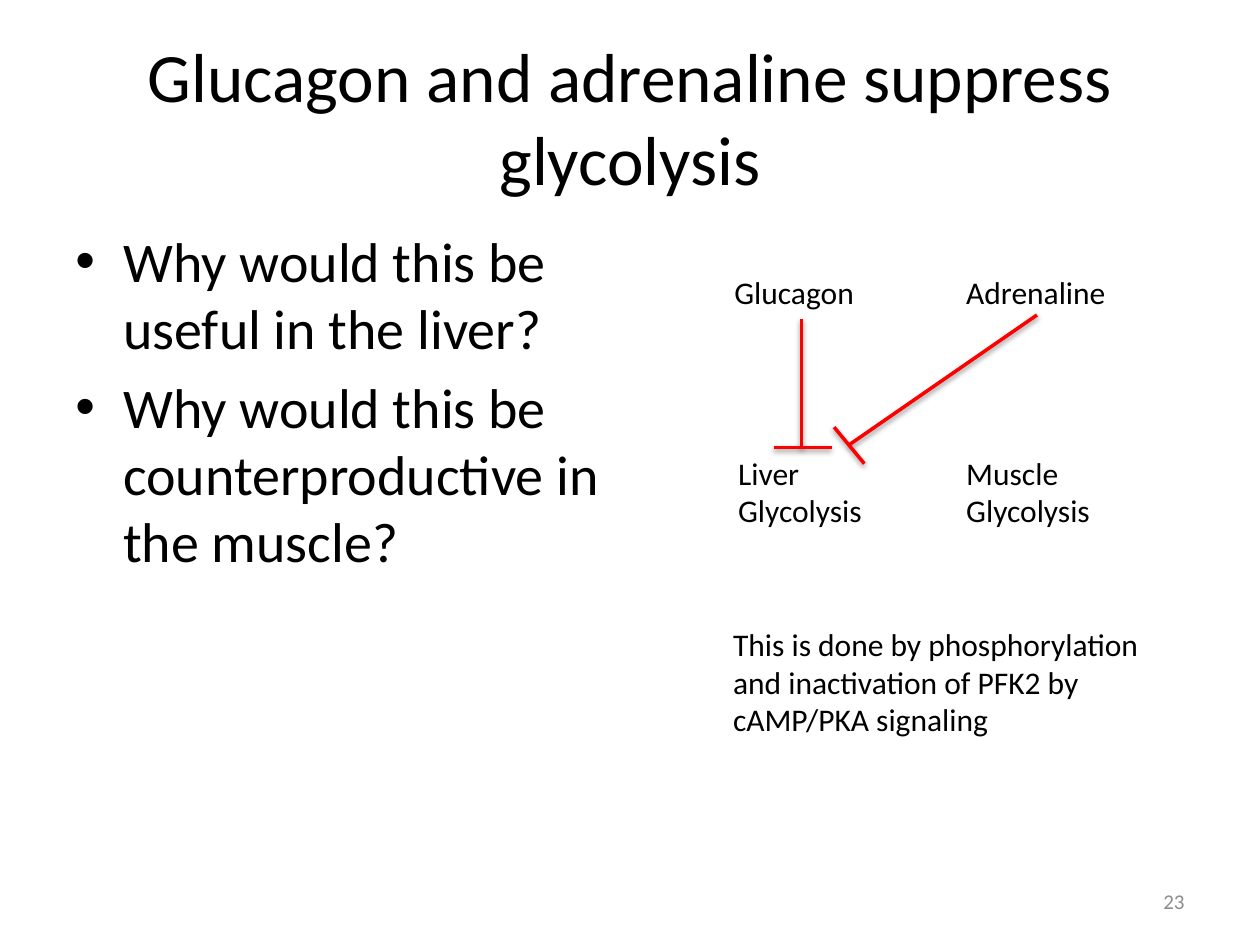
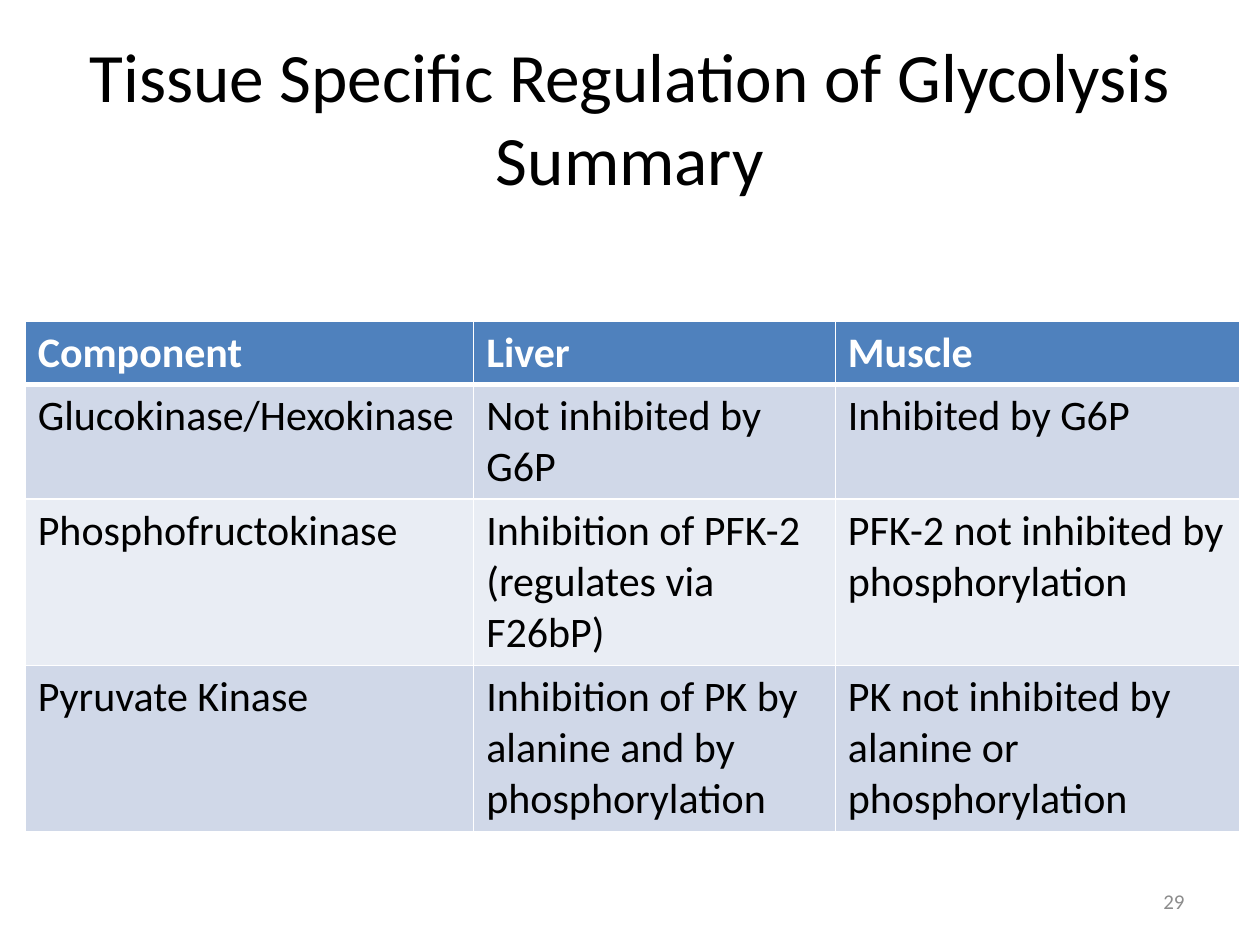
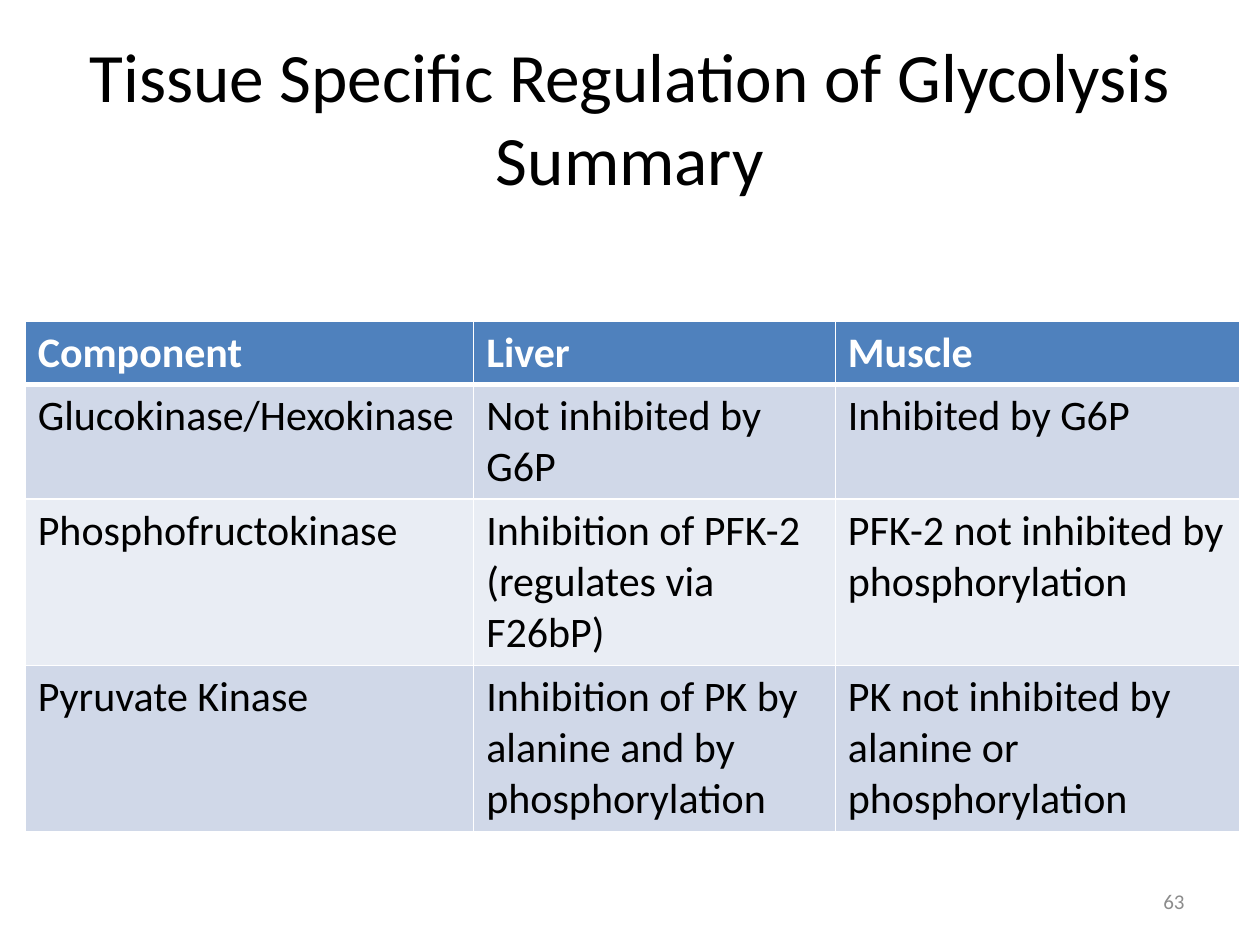
from lxml import etree
from pptx import Presentation
from pptx import util as u
from pptx.dml.color import RGBColor
from pptx.enum import shapes, text
from pptx.oxml import parse_xml
from pptx.oxml.ns import nsdecls, qn

FONT = "Calibri"
BLACK, WHITE, GREY, RED = "000000", "FFFFFF", "8C8C8C", "FF0000"
HEAD, BANDS = "4F81BD", ("D0D8E8", "E9EDF4")
LEFT, MID, RIGHT = text.PP_ALIGN.LEFT, text.PP_ALIGN.CENTER, text.PP_ALIGN.RIGHT

ASKS = [
    "Why would this be useful in the liver?",
    "Why would this be counterproductive in the muscle?",
]
LABELS = [
    (["Adrenaline"], (7.57, 2.12, 1.32, 0.4)),
    (["Glucagon"], (5.73, 2.12, 1.16, 0.4)),
    (["Muscle", "Glycolysis"], (7.57, 3.55, 1.19, 1.01)),
    (["Liver", "Glycolysis"], (5.76, 3.55, 1.19, 1.01)),
]
BLOCKS = [
    (6.36, 2.53, 6.36, 3.55),
    (8.23, 2.5, 6.74, 3.53),
    (6.62, 3.39, 6.86, 3.68),
    (6.14, 3.55, 6.6, 3.55),
]
NOTE = "This is done by phosphorylation and inactivation of PFK2 by cAMP/PKA signaling"

SUMMARY = "Tissue Specific Regulation of Glycolysis Summary"
ROWS = [
    ("Component", "Liver", "Muscle"),
    ("Glucokinase/Hexokinase", "Not inhibited by G6P", "Inhibited by G6P"),
    ("Phosphofructokinase", "Inhibition of PFK-2 (regulates via F26bP)",
     "PFK-2 not inhibited by phosphorylation"),
    ("Pyruvate Kinase", "Inhibition of PK by alanine and by phosphorylation",
     "PK not inhibited by alanine or phosphorylation"),
]
WIDTHS = (3.56, 2.87, 3.21)
LINES = (1, 2, 3, 3)


def inches(nums):
    return [u.Inches(n) for n in nums]


def color(code):
    return RGBColor.from_string(code)


def add_run(para, words, size, code=BLACK, bold=False):
    run = para.add_run()
    run.text = words
    font = run.font
    font.name, font.size, font.bold = FONT, u.Pt(size), bold
    font.color.rgb = color(code)


def add_text(slide, lines, box, size, code=BLACK, align=LEFT,
             anchor=text.MSO_ANCHOR.TOP, wrap=True, grow=False, bullet=False):
    frame = slide.shapes.add_textbox(*inches(box)).text_frame
    frame.word_wrap = wrap
    frame.vertical_anchor = anchor
    if grow:
        frame.auto_size = text.MSO_AUTO_SIZE.SHAPE_TO_FIT_TEXT
    for i, words in enumerate(lines):
        para = frame.paragraphs[0] if i == 0 else frame.add_paragraph()
        para.alignment = align
        if bullet:
            if i:
                para.space_before = u.Pt(size * 0.2)
            props = para._p.get_or_add_pPr()
            props.set("marL", str(u.Inches(0.38)))
            props.set("indent", str(-u.Inches(0.38)))
            etree.SubElement(props, qn("a:buFont")).set("typeface", "Arial")
            etree.SubElement(props, qn("a:buChar")).set("char", "•")
        add_run(para, words, size, code)


def add_block(slide, ends):
    line = slide.shapes.add_connector(shapes.MSO_CONNECTOR.STRAIGHT, *inches(ends))
    line.line.color.rgb = color(RED)
    line.line.width = u.Pt(2)
    line._element.spPr.append(parse_xml(
        f'<a:effectLst {nsdecls("a")}><a:outerShdw blurRad="{u.Pt(3.1)}" '
        f'dist="{u.Pt(1.6)}" dir="5400000" rotWithShape="0"><a:srgbClr val="{BLACK}">'
        '<a:alpha val="38000"/></a:srgbClr></a:outerShdw></a:effectLst>'))


def add_edges(cell, row):
    props = cell._tc.get_or_add_tcPr()
    thick = {"T": 3 if row == 1 else 1, "B": 3 if row == 0 else 1}
    for side in "LRTB":
        props.append(parse_xml(
            f'<a:ln{side} {nsdecls("a")} w="{u.Pt(thick.get(side, 1))}"><a:solidFill>'
            f'<a:srgbClr val="{WHITE}"/></a:solidFill></a:ln{side}>'))


def add_grid(slide):
    highs = [0.41 * n + 0.09 for n in LINES]
    box = inches((0.2, 2.55, sum(WIDTHS), sum(highs)))
    grid = slide.shapes.add_table(len(ROWS), len(WIDTHS), *box).table
    for col, wide in zip(grid.columns, WIDTHS):
        col.width = u.Inches(wide)
    for r, row in enumerate(ROWS):
        grid.rows[r].height = u.Inches(highs[r])
        top = r == 0
        for c, words in enumerate(row):
            cell = grid.cell(r, c)
            add_edges(cell, r)
            cell.fill.solid()
            cell.fill.fore_color.rgb = color(HEAD if top else BANDS[(r - 1) % 2])
            add_run(cell.text_frame.paragraphs[0], words, 24, WHITE if top else BLACK, top)


def add_slide(deck, title, page):
    slide = deck.slides.add_slide(deck.slide_layouts[6])
    middle = text.MSO_ANCHOR.MIDDLE
    add_text(slide, [title], (0.5, 0.3, 9, 1.25), 39.6, align=MID, anchor=middle)
    add_text(slide, [page], (7.17, 6.95, 2.33, 0.4), 12, GREY, RIGHT, middle)
    return slide


def main():
    deck = Presentation()
    deck.slide_width, deck.slide_height = inches((10, 7.5))
    slide = add_slide(deck, "Glucagon and adrenaline suppress glycolysis", "23")
    add_text(slide, ASKS, (0.5, 1.75, 4.64, 4.95), 32, bullet=True)
    for lines, box in LABELS:
        add_text(slide, lines, box, 18, wrap=False, grow=True)
    for ends in BLOCKS:
        add_block(slide, ends)
    add_text(slide, [NOTE], (5.72, 4.91, 3.54, 1.01), 18, grow=True)
    for page in ("29", "63"):
        add_grid(add_slide(deck, SUMMARY, page))
    deck.save("out.pptx")


if __name__ == "__main__":
    main()
